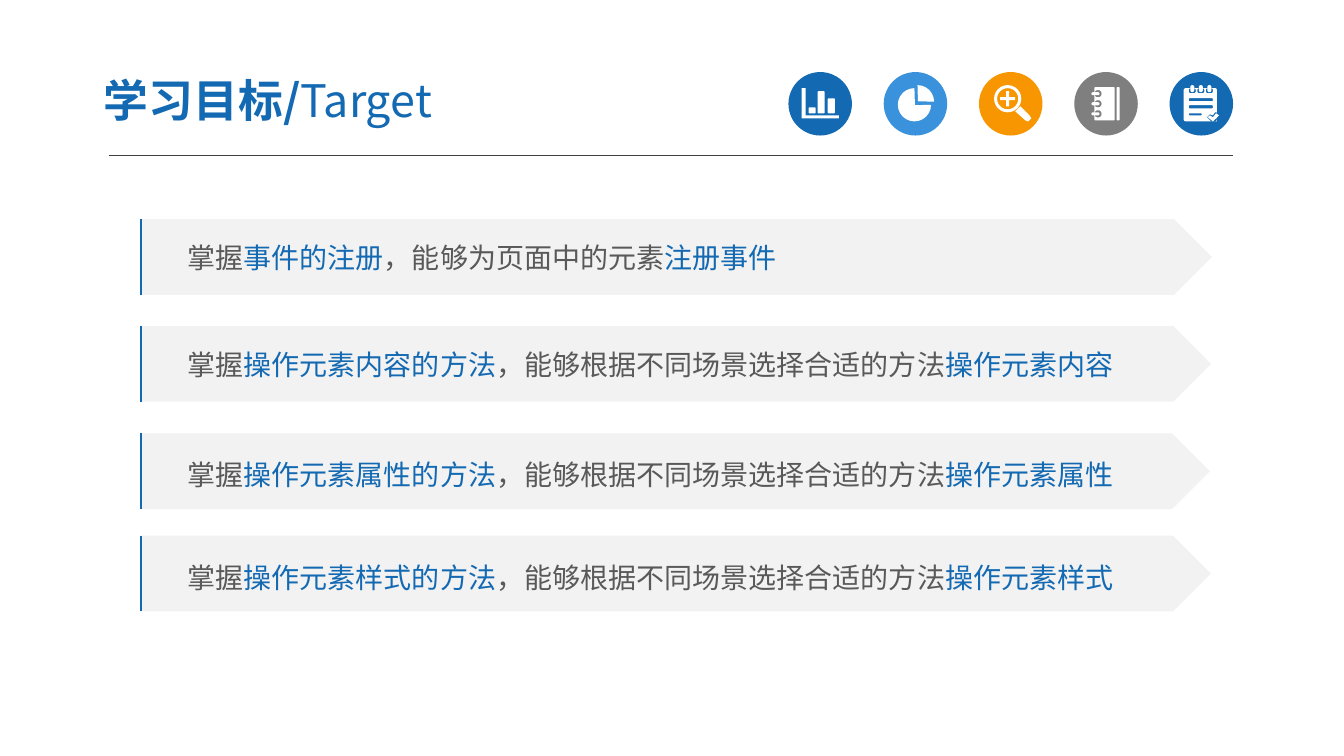
from math import cos, pi, sin

from lxml import etree
from pptx import Presentation
from pptx.dml.color import RGBColor
from pptx.enum.shapes import MSO_CONNECTOR, MSO_SHAPE
from pptx.enum.text import MSO_ANCHOR, PP_ALIGN
from pptx.oxml.ns import qn
from pptx.util import Inches, Pt

STRAIGHT = MSO_CONNECTOR.STRAIGHT
OVAL = MSO_SHAPE.OVAL
ARROW = MSO_SHAPE.PENTAGON
MIDDLE = MSO_ANCHOR.MIDDLE
LEFT = PP_ALIGN.LEFT

FONT = "Noto Sans CJK SC"
BLUE, SKY, ORANGE, GRAY = "1369B2", "3992DB", "F79600", "7F7F7F"
WHITE, PALE, TEXT, RULE = "FFFFFF", "F2F2F2", "595959", "404040"


def paint(shape, color):
    shape.shadow.inherit = False
    shape.fill.solid()
    shape.fill.fore_color.rgb = RGBColor.from_string(color)
    shape.line.fill.background()


def rounded_box(left, top, width, height, radius):
    right, bottom = left + width - radius, top + height - radius
    corners = [(left + radius, top + radius), (right, top + radius),
               (right, bottom), (left + radius, bottom)]
    return [(x + radius * cos(pi + (corner + step / 6) * pi / 2),
             y + radius * sin(pi + (corner + step / 6) * pi / 2))
            for corner, (x, y) in enumerate(corners) for step in range(7)]


presentation = Presentation()
presentation.slide_width = Inches(13.33)
presentation.slide_height = Inches(7.5)
slide = presentation.slides.add_slide(presentation.slide_layouts[6])

bar_chart = [
    [(0.13, 0.16), (0.17, 0.16), (0.17, 0.43), (0.5, 0.43), (0.5, 0.46), (0.13, 0.46)],
    rounded_box(0.2, 0.35, 0.07, 0.06, 0.01),
    rounded_box(0.29, 0.19, 0.07, 0.22, 0.01),
    rounded_box(0.39, 0.26, 0.07, 0.15, 0.01),
]
pie_circle = rounded_box(0.14, 0.16, 0.33, 0.33, 0.165)
slice_circle = rounded_box(0.17, 0.13, 0.33, 0.33, 0.165)
pie_chart = [
    [(0.31, 0.33)] + pie_circle[14:] + pie_circle[:7],
    [(0.34, 0.29)] + slice_circle[7:14],
]
magnifier = [
    rounded_box(0.15, 0.13, 0.27, 0.27, 0.135),
    rounded_box(0.18, 0.16, 0.21, 0.21, 0.105),
    [(0.27, 0.19), (0.3, 0.19), (0.3, 0.25), (0.36, 0.25), (0.36, 0.28), (0.3, 0.28),
     (0.3, 0.34), (0.27, 0.34), (0.27, 0.28), (0.21, 0.28), (0.21, 0.25), (0.27, 0.25)],
    [(0.36, 0.39), (0.41, 0.34), (0.5, 0.43), (0.52, 0.46), (0.49, 0.49), (0.46, 0.48)],
]
notebook = [
    rounded_box(0.2, 0.15, 0.2, 0.33, 0.01),
    rounded_box(0.42, 0.15, 0.03, 0.33, 0.01),
]
notepad = [
    rounded_box(0.14, 0.16, 0.33, 0.33, 0.02),
    rounded_box(0.19, 0.26, 0.24, 0.03, 0.01),
    rounded_box(0.19, 0.33, 0.24, 0.03, 0.01),
    rounded_box(0.19, 0.41, 0.13, 0.02, 0.01),
    [(0.37, 0.45), (0.4, 0.42), (0.43, 0.43), (0.45, 0.4), (0.47, 0.4), (0.47, 0.49), (0.41, 0.49)],
    [(0.38, 0.45), (0.4, 0.43), (0.43, 0.45), (0.46, 0.41), (0.49, 0.43), (0.43, 0.49)],
]
for ring in range(3):
    ring_top, ring_left = 0.18 + 0.1 * ring, 0.19 + 0.085 * ring
    notebook += [rounded_box(0.2, ring_top, 0.07, 0.07, 0.03),
                 rounded_box(0.17, ring_top + 0.02, 0.08, 0.03, 0.015)]
    notepad += [rounded_box(ring_left, 0.16, 0.07, 0.05, 0.02),
                rounded_box(ring_left + 0.015, 0.13, 0.04, 0.07, 0.02)]

icon_left, icon_top, icon_pitch, icon_size = 7.82, 0.715, 0.945, 0.63
icons = [(BLUE, bar_chart), (SKY, pie_chart), (ORANGE, magnifier), (GRAY, notebook), (BLUE, notepad)]
for column, (color, contours) in enumerate(icons):
    left = icon_left + column * icon_pitch
    circle = slide.shapes.add_shape(
        OVAL, Inches(left), Inches(icon_top), Inches(icon_size), Inches(icon_size))
    paint(circle, color)
    placed = [[(Inches(left + x), Inches(icon_top + y)) for x, y in contour] for contour in contours]
    builder = slide.shapes.build_freeform(*placed[0][0])
    for contour in placed:
        builder.move_to(*contour[0])
        builder.add_line_segments(contour[1:], close=True)
    paint(builder.convert_to_shape(), WHITE)

title = slide.shapes.add_textbox(Inches(0.9), Inches(0.63), Inches(5.22), Inches(0.72))
title_frame = title.text_frame
title_frame.word_wrap = True
title_frame.vertical_anchor = MIDDLE
title_frame.margin_left = title_frame.margin_right = Inches(0.13)
title_frame.margin_top = title_frame.margin_bottom = Inches(0.07)
title_parts = [("学习目标/", BLUE, 32, True), ("Target", BLUE, 32, False)]

goals = [
    (2.175, 10.63, 1.0, "事件的注册", "，能够为页面中的元素", "注册事件"),
    (3.235, 10.62, 1.0, "操作元素内容的方法", "，能够根据不同场景选择合适的方法", "操作元素内容"),
    (4.3, 10.61, 1.2, "操作元素属性的方法", "，能够根据不同场景选择合适的方法", "操作元素属性"),
    (5.315, 10.62, 1.2, "操作元素样式的方法", "，能够根据不同场景选择合适的方法", "操作元素样式"),
]
texts = [(title_frame.paragraphs[0], title_parts)]
lines = [(1.08, 1.54, 12.23, 1.54, RULE, 0.75)]
goal_left, goal_height = 1.39, 0.75
for top, width, spacing, topic, link, skill in goals:
    arrow = slide.shapes.add_shape(
        ARROW, Inches(goal_left), Inches(top), Inches(width), Inches(goal_height))
    paint(arrow, PALE)
    lines.append((1.4, top + goal_height, 1.4, top, BLUE, 1.5))
    arrow.text_frame.word_wrap = True
    arrow.text_frame.vertical_anchor = MIDDLE
    arrow.text_frame.margin_left = Inches(0.47)
    paragraph = arrow.text_frame.paragraphs[0]
    paragraph.line_spacing = spacing
    texts.append((paragraph, [("掌握", TEXT, 20, False), (topic, BLUE, 20, False),
                              (link, TEXT, 20, False), (skill, BLUE, 20, False)]))

for start_x, start_y, end_x, end_y, color, points in lines:
    line = slide.shapes.add_connector(
        STRAIGHT, Inches(start_x), Inches(start_y), Inches(end_x), Inches(end_y))
    line.line.color.rgb = RGBColor.from_string(color)
    line.line.width = Pt(points)
    etree.SubElement(line._element.spPr, qn("a:effectLst"))

for paragraph, parts in texts:
    paragraph.alignment = LEFT
    for text, color, size, bold in parts:
        run = paragraph.add_run()
        run.text = text
        run.font.name = FONT
        run.font.size = Pt(size)
        run.font.bold = bold
        run.font.color.rgb = RGBColor.from_string(color)
        east_asian = etree.SubElement(run._r.get_or_add_rPr(), qn("a:ea"))
        east_asian.set("typeface", FONT)

presentation.save("out.pptx")
